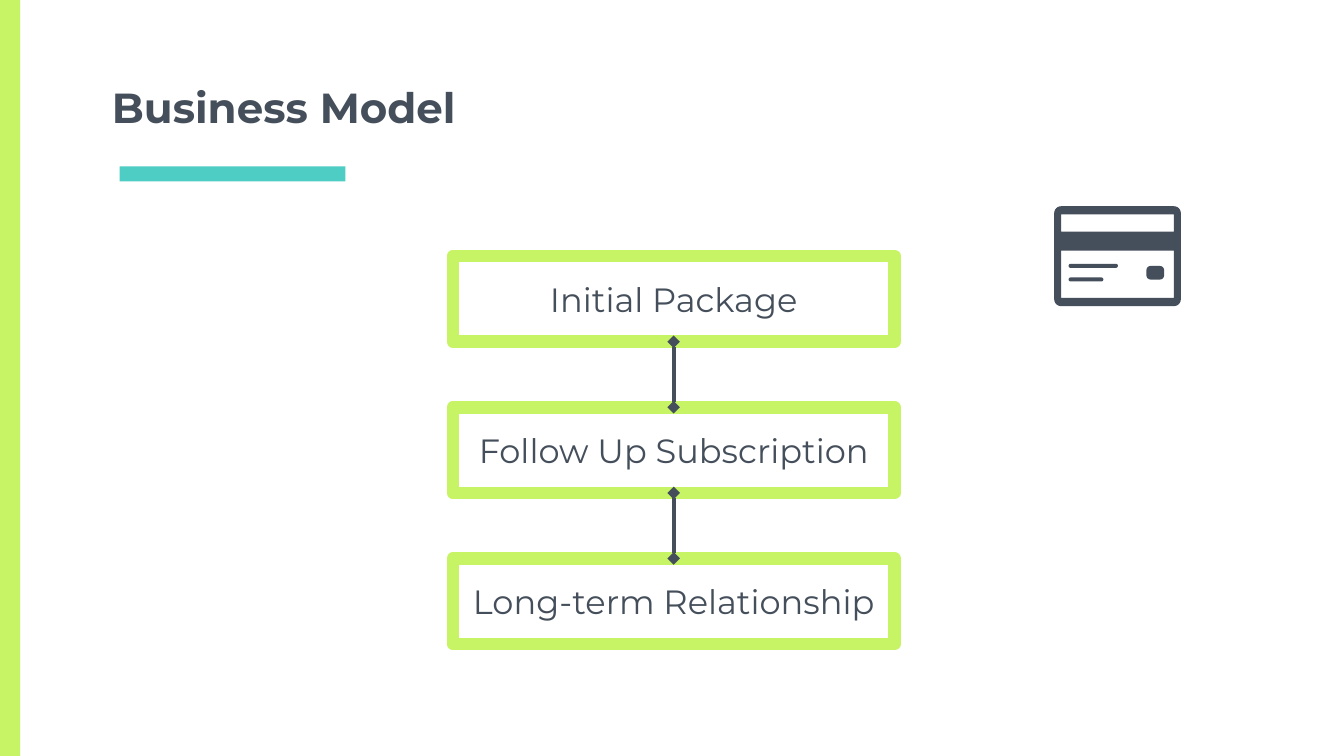
import math
from dataclasses import dataclass

from lxml import etree
from pptx import Presentation
from pptx import util as u
from pptx.dml.color import RGBColor
from pptx.enum import shapes, text
from pptx.oxml.ns import qn


@dataclass(frozen=True)
class Theme:
    """Colours, font and type sizes of the slide."""
    ink: RGBColor = RGBColor.from_string("454F5B")
    lime: RGBColor = RGBColor.from_string("C7F464")
    teal: RGBColor = RGBColor.from_string("4ECDC4")
    font: str = "Montserrat"
    title_size: int = 30
    step_size: int = 24


THEME = Theme()
STEPS = ("Initial Package", "Follow Up Subscription", "Long-term Relationship")


def write(sp, words, size, bold, align, anchor):
    """Write one formatted run into a shape."""
    tf = sp.text_frame
    tf.word_wrap = True
    tf.auto_size = text.MSO_AUTO_SIZE.NONE
    tf.vertical_anchor = anchor
    tf.margin_left = tf.margin_right = tf.margin_top = tf.margin_bottom = u.Pt(7.2)
    p = tf.paragraphs[0]
    p.alignment = align
    r = p.add_run()
    r.text = words
    r.font.name = THEME.font
    r.font.size = u.Pt(size)
    r.font.bold = bold
    r.font.color.rgb = THEME.ink


def add_bar(s, box, color):
    """Draw a solid bar without an outline."""
    sp = s.shapes.add_shape(shapes.MSO_SHAPE.RECTANGLE, *map(u.Pt, box))
    sp.shadow.inherit = False
    sp.fill.solid()
    sp.fill.fore_color.rgb = color
    sp.line.fill.background()


def add_header(s, box):
    """Place the title with the teal bar below it."""
    x, y, w, h = box
    sp = s.shapes.title
    sp.left, sp.top, sp.width, sp.height = map(u.Pt, box)
    write(sp, "Business Model", THEME.title_size, True,
          text.PP_ALIGN.LEFT, text.MSO_ANCHOR.BOTTOM)
    add_bar(s, (x + 12.7, y + h + 17, 161.3, 10.8), THEME.teal)


def add_step(s, box, words):
    """Draw one outlined step."""
    sp = s.shapes.add_shape(shapes.MSO_SHAPE.RECTANGLE, *map(u.Pt, box))
    sp.shadow.inherit = False
    sp.fill.background()
    sp.line.color.rgb = THEME.lime
    sp.line.width = u.Pt(9)
    write(sp, words, THEME.step_size, False,
          text.PP_ALIGN.CENTER, text.MSO_ANCHOR.MIDDLE)
    return sp


def link(s, upper, lower):
    """Join two steps by a line with diamond ends."""
    c = s.shapes.add_connector(shapes.MSO_CONNECTOR.STRAIGHT, 0, 0, 0, 0)
    c.begin_connect(upper, 2)
    c.end_connect(lower, 0)
    c.line.color.rgb = THEME.ink
    c.line.width = u.Pt(3)
    ln = c.line._get_or_add_ln()
    for end in ("a:headEnd", "a:tailEnd"):
        etree.SubElement(ln, qn(end), type="diamond")
    etree.SubElement(c._element.spPr, qn("a:effectLst"))


def add_steps(s, box, gap):
    """Stack the steps evenly in the box and link neighbours."""
    x, y, w, h = box
    step_h = (h - gap * (len(STEPS) - 1)) / len(STEPS)
    steps = [add_step(s, (x, y + i * (step_h + gap), w, step_h), words)
             for i, words in enumerate(STEPS)]
    for upper, lower in zip(steps, steps[1:]):
        link(s, upper, lower)


def outline(x, y, w, h, radius=0):
    """Return the points of a rectangle with rounded corners."""
    if not radius:
        return [(x, y), (x + w, y), (x + w, y + h), (x, y + h)]
    centres = ((x + w - radius, y + h - radius), (x + radius, y + h - radius),
               (x + radius, y + radius), (x + w - radius, y + radius))
    return [(cx + radius * math.cos(math.radians(a)),
             cy + radius * math.sin(math.radians(a)))
            for i, (cx, cy) in enumerate(centres)
            for a in range(90 * i, 90 * i + 91, 15)]


def add_outlines(group, *outlines):
    """Fill the first outline, leaving the others as holes."""
    first, *holes = [[(u.Pt(x), u.Pt(y)) for x, y in pts] for pts in outlines]
    fb = group.shapes.build_freeform(*first[0])
    fb.add_line_segments(first[1:], close=True)
    for hole in holes:
        fb.move_to(*hole[0])
        fb.add_line_segments(hole[1:], close=True)
    sp = fb.convert_to_shape()
    sp.shadow.inherit = False
    sp.fill.solid()
    sp.fill.fore_color.rgb = THEME.ink
    sp.line.fill.background()


def add_card_icon(s, box):
    """Draw a payment card with a stripe, two lines and a chip."""
    x, y, w, h = box
    rim = 5
    group = s.shapes.add_group_shape()
    add_outlines(group, outline(x, y, w, h, rim),
                 outline(x + rim, y + 5.8, w - 2 * rim, 12.4),
                 outline(x + rim, y + 31.7, w - 2 * rim, 33.8))
    for dx, dy, dw, dh, radius in ((10.3, 41.2, 35.2, 2.8, 1.4),
                                   (10.3, 50.9, 24.8, 2.8, 1.4),
                                   (65.9, 42.7, 12.6, 9.7, 3)):
        add_outlines(group, outline(x + dx, y + dy, dw, dh, radius))


def main():
    """Build and save the slide."""
    prs = Presentation()
    prs.slide_width, prs.slide_height = u.Pt(960), u.Pt(540)
    s = prs.slides.add_slide(prs.slide_layouts[5])
    add_bar(s, (0, 0, 14.4, 540), THEME.lime)
    add_header(s, (72.7, 0, 815, 101.8))
    add_steps(s, (323.5, 182.9, 315.4, 277.2), 46.8)
    add_card_icon(s, (753, 147.3, 90.5, 71.4))
    prs.save("out.pptx")


if __name__ == "__main__":
    main()
